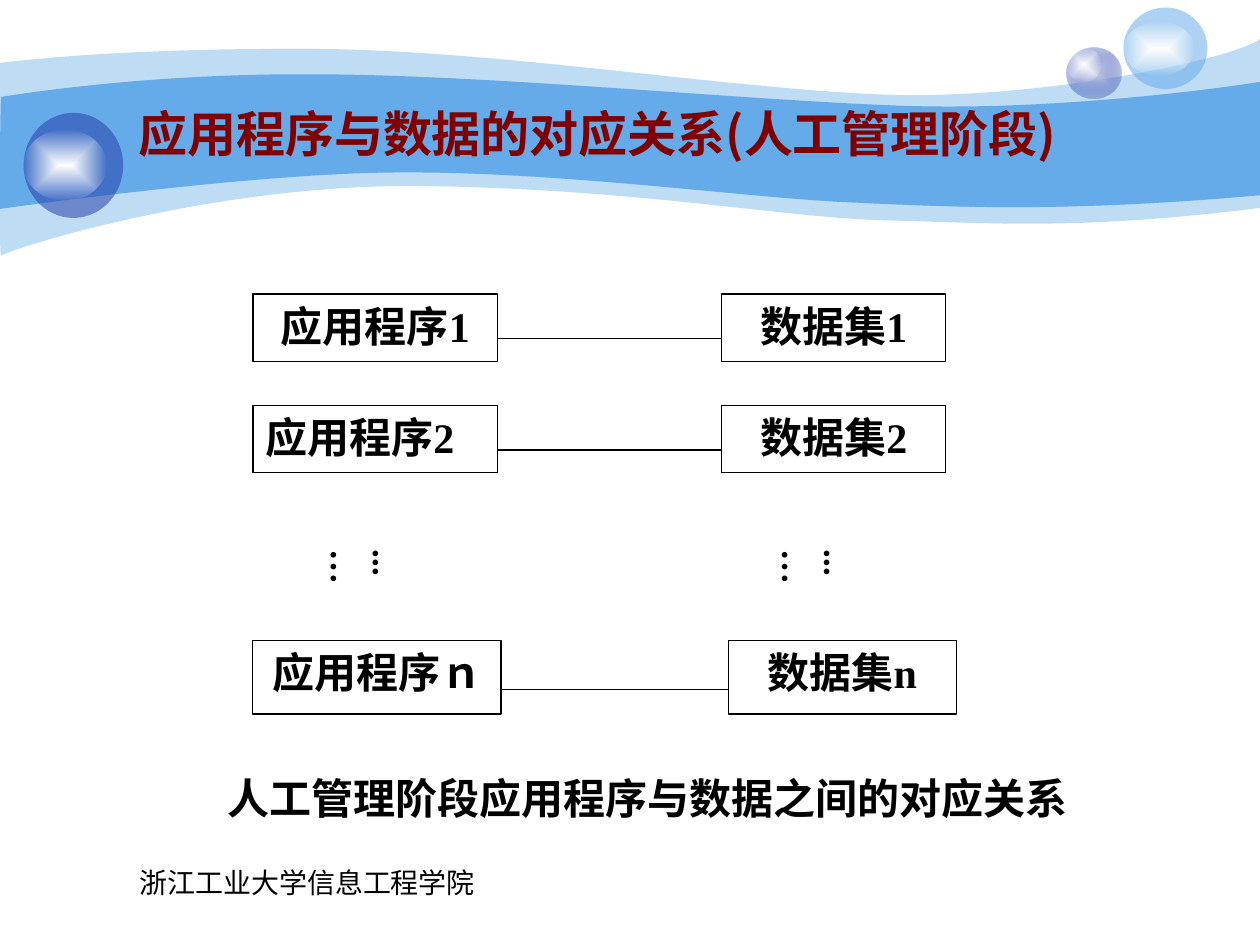
from lxml import etree
from pptx import Presentation
from pptx.dml import color
from pptx.enum import shapes, text
from pptx.oxml import ns
from pptx.util import Pt

COLORS = {"sky": "65AAE9", "navy": "233DA9", "mist": "C7CEE9",
          "white": "FFFFFF", "black": "000000", "maroon": "800000"}
LATIN, CJK = "Times New Roman", "Noto Sans CJK SC"
ALIGN = text.PP_ALIGN

# Content
TITLE = "应用程序与数据的对应关系(人工管理阶段)"
CAPTION = "人工管理阶段应用程序与数据之间的对应关系 "
FOOTER = "浙江工业大学信息工程学院"
DOTS = "...…"
# program, data set, program alignment, top, height, line y, program width, data left, data width
ROWS = [
    ("应用程序1", "数据集1", ALIGN.CENTER, 168, 38.4, 193.5, 139.9, 412.5, 128),
    ("应用程序2", "数据集2", ALIGN.JUSTIFY, 231.8, 38.2, 257.2, 139.9, 412.5, 128),
    ("应用程序ｎ", "数据集n", ALIGN.CENTER, 366, 42, 393.9, 141.9, 416.2, 130.3),
]
PROGRAM_LEFT = 144.5
DOTS_LEFT = (198.7, 456.5)

# Waves: opacity, start point, then curves (3 points) and straight edges (1 point)
WAVES = [
    (41, (0, 36), [
        [(17.3, 33.8), (77, 27.4), (177.8, 28)],
        [(277.9, 28), (414, 50.4), (503.3, 54)],
        [(591.8, 57.6), (705.6, 33.8), (720, 22.3)],
        [(720, 118.8)],
        [(617.8, 131.8), (566.6, 127.4), (507.6, 126)],
        [(447.8, 124.6), (370.8, 108.7), (247, 106.4)],
        [(123.8, 103.7), (2.9, 143.3), (0.7, 146.2)],
        [(-0.7, 149.8), (0, 54), (0, 36)]]),
    (100, (0.7, 55.4), [
        [(1.4, 55.4), (79.2, 41.8), (178.6, 42.5)],
        [(277.9, 42.5), (428.4, 57.6), (517, 60.5)],
        [(605.5, 63.4), (702.7, 49.7), (720, 46.8)],
        [(720, 111.6)],
        [(614.2, 121), (550.8, 118.8), (491, 115.9)],
        [(431.3, 113.8), (321.8, 97.9), (228.2, 98.6)],
        [(146.2, 98.6), (-1.4, 119.5), (-0.7, 119.5)],
        [(0, 119.5), (0, 55.4), (0.7, 55.4)]]),
]

# Bubbles: frame and its gradient stops (colour, opacity); one stop is a plain fill
SHINE = [("white", 100), ("white", 0)]
BUBBLES = [
    ((609.3, 27, 31.2, 29.2), [("mist", 100), ("navy", 31)]),
    ((609.3, 27, 20.2, 19.4), SHINE),
    ((642, 4.3, 48, 46.6), [("sky", 53)]),
    ((642, 12.2, 40.3, 31), SHINE),
    ((13.5, 64.5, 56.9, 60), [("navy", 53)]),
    ((13.5, 74.2, 47.5, 40.3), SHINE),
]


def rgb(name):
    return color.RGBColor.from_string(COLORS[name])


def points(frame):
    return [Pt(length) for length in frame]


def child(parent, tag, **attributes):
    element = etree.SubElement(parent, ns.qn(tag))
    for key, value in attributes.items():
        element.set(key, str(value))
    return element


def add_color(parent, name, opacity):
    element = child(parent, "a:srgbClr", val=COLORS[name])
    if opacity < 100:
        child(element, "a:alpha", val=opacity * 1000)


def paint(shape, stops):
    """Fill with one translucent colour, or a gradient from the centre outwards."""
    shape.shadow.inherit = False
    shape.line.fill.background()
    shape.fill.solid()
    shape.fill.fore_color.rgb = rgb("white")
    solid = shape._element.spPr.find(ns.qn("a:solidFill"))
    if len(stops) == 1:
        solid.clear()
        add_color(solid, *stops[0])
        return
    gradient = etree.Element(ns.qn("a:gradFill"), rotWithShape="1")
    stop_list = child(gradient, "a:gsLst")
    for position, stop in zip((0, 100000), stops):
        add_color(child(stop_list, "a:gs", pos=position), *stop)
    center = child(gradient, "a:path", path="rect")
    child(center, "a:fillToRect", l=50000, t=50000, r=50000, b=50000)
    solid.getparent().replace(solid, gradient)


def add_wave(page, opacity, start, segments):
    """Draw an outline through all points, then join each triple into one curve."""
    builder = page.shapes.build_freeform(*points(start), scale=1.0)
    builder.add_line_segments([points(p) for segment in segments for p in segment], close=True)
    wave = builder.convert_to_shape()
    edges = iter(list(wave._element.iter(ns.qn("a:lnTo"))))
    for segment in segments:
        first, *others = [next(edges) for _ in segment]
        if others:
            first.tag = ns.qn("a:cubicBezTo")
            for edge in others:
                first.append(edge[0])
                edge.getparent().remove(edge)
    paint(wave, [("sky", opacity)])


def write(box, words, size=24, bold=True, ink="black", font=LATIN, align=ALIGN.CENTER,
          anchor=text.MSO_ANCHOR.TOP, wrap=True, insets=(7.2, 3.6, 3.6)):
    frame = box.text_frame
    frame.word_wrap = wrap
    frame.vertical_anchor = anchor
    frame.margin_left = frame.margin_right = Pt(insets[0])
    frame.margin_top, frame.margin_bottom = points(insets[1:])
    para = frame.paragraphs[0]
    para.alignment = align
    span = para.add_run()
    span.text = words
    span.font.size, span.font.bold, span.font.name = Pt(size), bold, font
    span.font.color.rgb = rgb(ink)
    child(span._r.get_or_add_rPr(), "a:ea", typeface=CJK)
    return frame


def add_node(page, frame, words, align=ALIGN.CENTER):
    box = page.shapes.add_shape(shapes.MSO_SHAPE.RECTANGLE, *points(frame))
    box.shadow.inherit = False
    box.fill.solid()
    box.fill.fore_color.rgb = rgb("white")
    box.line.color.rgb = rgb("black")
    box.line.width = Pt(0.75)
    write(box, words, align=align)


def add_link(page, left, right, y):
    link = page.shapes.add_connector(shapes.MSO_CONNECTOR.STRAIGHT,
                                     *points((left, y, right, y)))
    link.line.color.rgb = rgb("black")
    link.line.width = Pt(0.75)
    child(link._element.spPr, "a:effectLst")


def add_text(page, frame, words, **style):
    return write(page.shapes.add_textbox(*points(frame)), words, **style)


def main():
    deck = Presentation()
    deck.slide_width, deck.slide_height = Pt(720), Pt(540)
    page = deck.slides.add_slide(deck.slide_layouts[6])

    # Waves and bubbles
    for wave in WAVES:
        add_wave(page, *wave)
    for frame, stops in BUBBLES:
        paint(page.shapes.add_shape(shapes.MSO_SHAPE.OVAL, *points(frame)), stops)

    # Footer and title
    add_text(page, (36.7, 491, 278, 37.4), FOOTER, size=16, bold=False)
    add_text(page, (72, 53.6, 581.8, 44.6), TITLE, size=28, ink="maroon", font=CJK,
             align=ALIGN.LEFT, anchor=text.MSO_ANCHOR.MIDDLE)

    # Programs linked to their data sets
    for program, data, align, top, height, y, width, data_left, data_width in ROWS:
        add_node(page, (PROGRAM_LEFT, top, width, height), program, align)
        add_node(page, (data_left, top, data_width, height), data)
        add_link(page, PROGRAM_LEFT + width, data_left, y)

    # Vertical dots between the rows
    for left in DOTS_LEFT:
        frame = add_text(page, (left, 300.2, 38.2, 48.2), DOTS, size=20,
                         align=ALIGN.LEFT, insets=(3.6, 14, 7.2))
        frame._txBody.bodyPr.set("vert", "eaVert")

    # Caption
    add_text(page, (95.8, 437.8, 553.7, 36), CAPTION, wrap=False)
    deck.save("out.pptx")


if __name__ == "__main__":
    main()
